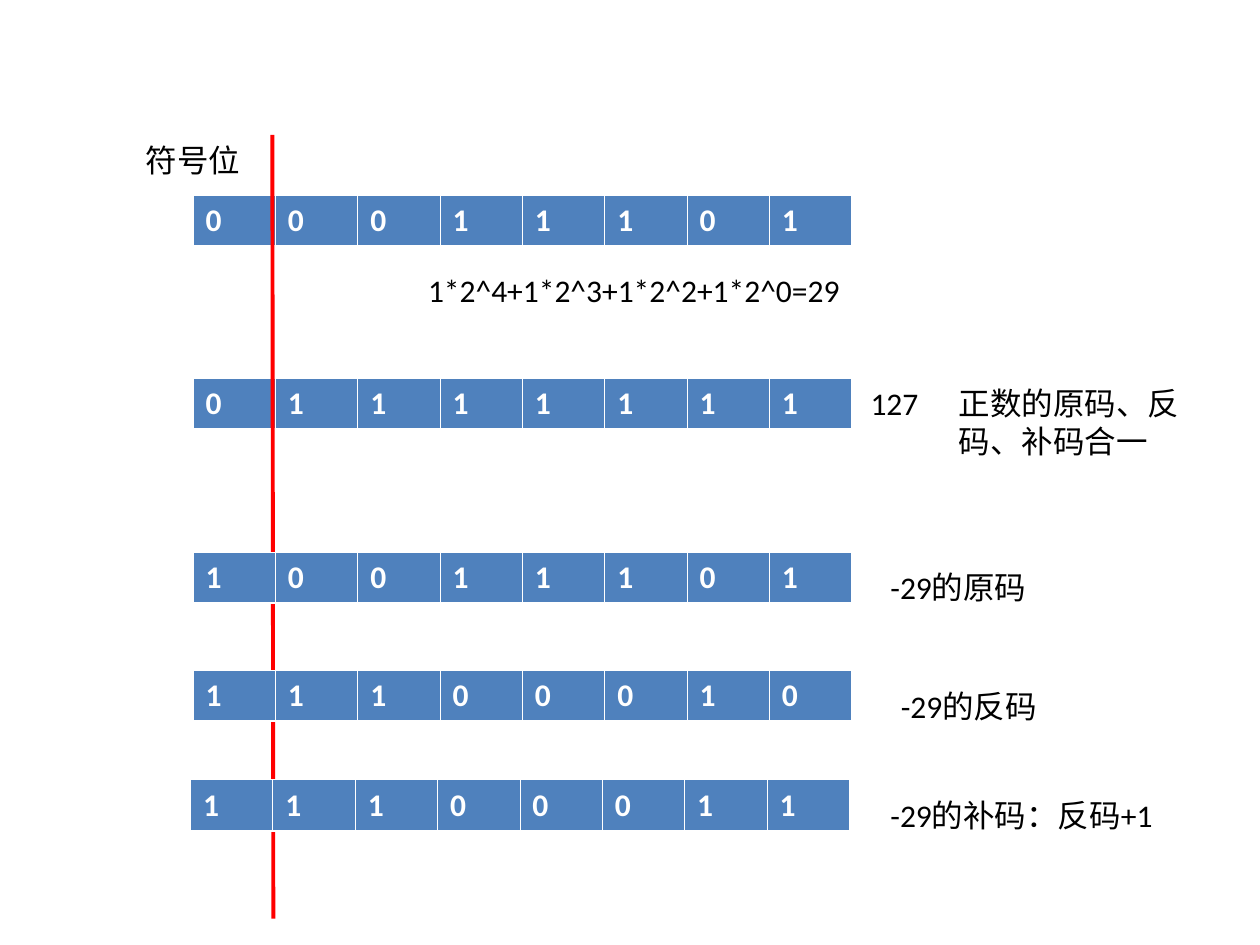
"""Builds a slide on the sign bit and on sign-magnitude, one's and two's complement codes."""
import pptx
import pptx.dml.color
import pptx.enum.shapes
import pptx.enum.text
import pptx.oxml
import pptx.oxml.ns
import pptx.util

Cm = pptx.util.Cm
Pt = pptx.util.Pt
COLORS = {"cell": "4F81BD", "white": "FFFFFF", "black": "000000", "sign_line": "FF0000"}
BORDERS = {"lnL": 0.45, "lnR": 0.45, "lnT": 0.45, "lnB": 1.47}
COLUMN_WIDTH, ROW_HEIGHT, TAB_WIDTH = 1.66, 1.03, 2.54


def format_text(paragraph, color, bold=False):
    for span in paragraph.runs:
        span.font.name = "Calibri"
        span.font.size = Pt(18)
        span.font.bold = bold
        span.font.color.rgb = pptx.dml.color.RGBColor.from_string(COLORS[color])


def add_bits(page, left, top, bits):
    frame = page.shapes.add_table(1, len(bits), Cm(left), Cm(top),
                                  Cm(COLUMN_WIDTH * len(bits)), Cm(ROW_HEIGHT))
    table = frame.table
    table.horz_banding = False
    for column, bit in zip(table.columns, bits):
        column.width = Cm(COLUMN_WIDTH)
    for cell, bit in zip(table.rows[0].cells, bits):
        cell.text_frame.text = bit
        format_text(cell.text_frame.paragraphs[0], "white", bold=True)
        properties = cell._tc.get_or_add_tcPr()
        for side, width in BORDERS.items():
            properties.append(pptx.oxml.parse_xml(
                f'<a:{side} {pptx.oxml.ns.nsdecls("a")} w="{Pt(width)}"><a:solidFill>'
                f'<a:srgbClr val="{COLORS["white"]}"/></a:solidFill></a:{side}>'))
        cell.fill.solid()
        cell.fill.fore_color.rgb = pptx.dml.color.RGBColor.from_string(COLORS["cell"])


deck = pptx.Presentation()
deck.slide_width, deck.slide_height = Cm(25.4), Cm(19.05)
page = deck.slides.add_slide(deck.slide_layouts[6])

for left, top, bits in [(3.89, 3.94, "00011101"), (3.89, 7.62, "01111111")]:
    add_bits(page, left, top, bits)

sign_line = page.shapes.add_connector(pptx.enum.shapes.MSO_CONNECTOR.STRAIGHT,
                                      Cm(5.49), Cm(2.72), Cm(5.51), Cm(18.52))
sign_line.line.color.rgb = pptx.dml.color.RGBColor.from_string(COLORS["sign_line"])
sign_line.line.width = Pt(2.25)
sign_line._element.spPr.append(
    pptx.oxml.parse_xml(f'<a:effectLst {pptx.oxml.ns.nsdecls("a")}/>'))

for left, top, bits in [(3.89, 11.13, "10011101"), (3.89, 13.51, "11100010"),
                        (3.84, 15.72, "11100011")]:
    add_bits(page, left, top, bits)

labels = [
    (3.3, 5.33, 15.19, 1.03, "\t\t1*2^4+1*2^3+1*2^2+1*2^0=29"),
    (17.3, 7.62, 1.8, 1.03, "127"),
    (2.69, 2.72, 3.4, 1.03, "符号位"),
    (19.08, 7.62, 5.21, 1.79, "正数的原码、反码、补码合一"),
    (17.7, 11.33, 4.6, 1.03, "-29的原码"),
    (17.91, 13.72, 4.8, 1.03, "-29的反码"),
    (17.7, 15.93, 6.58, 1.03, "-29的补码：反码+1"),
]
for left, top, width, height, text in labels:
    box = page.shapes.add_textbox(Cm(left), Cm(top), Cm(width), Cm(height))
    box.text_frame.word_wrap = True
    box.text_frame.auto_size = pptx.enum.text.MSO_AUTO_SIZE.SHAPE_TO_FIT_TEXT
    box.text_frame.text = text
    para = box.text_frame.paragraphs[0]
    stops = "".join(f'<a:tab pos="{Cm(TAB_WIDTH * stop)}" algn="l"/>' for stop in range(8))
    para._p.get_or_add_pPr().append(pptx.oxml.parse_xml(
        f'<a:tabLst {pptx.oxml.ns.nsdecls("a")}>{stops}</a:tabLst>'))
    format_text(para, "black")

deck.save("out.pptx")
